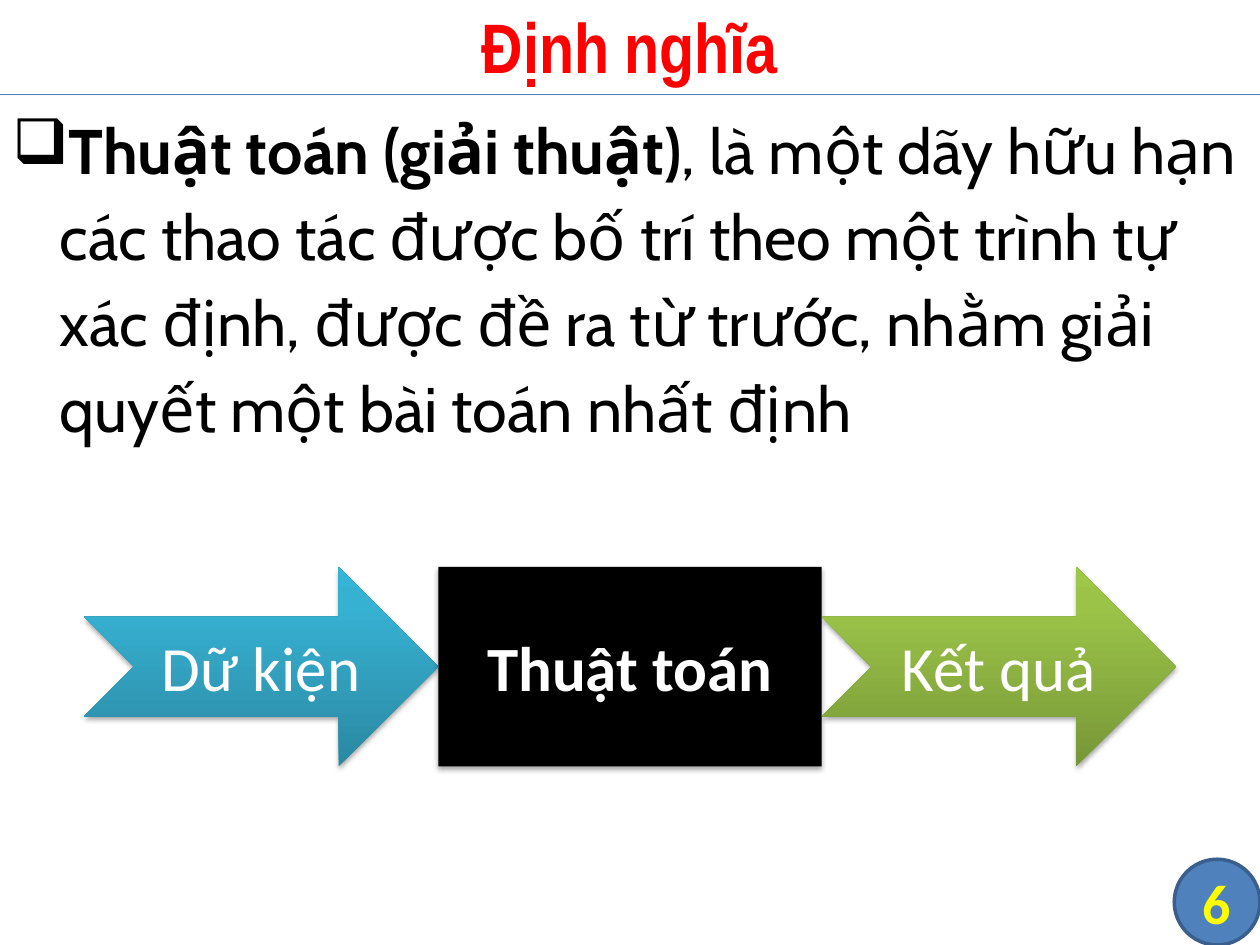
from lxml import etree
from pptx import Presentation
from pptx.dml.color import RGBColor
from pptx.enum.shapes import MSO_CONNECTOR, MSO_SHAPE
from pptx.enum.text import MSO_ANCHOR, PP_ALIGN
from pptx.oxml.ns import qn
from pptx.util import Pt

CENTER = PP_ALIGN.CENTER
MIDDLE = MSO_ANCHOR.MIDDLE
STRAIGHT = MSO_CONNECTOR.STRAIGHT
RECTANGLE = MSO_SHAPE.RECTANGLE
ARROW = MSO_SHAPE.NOTCHED_RIGHT_ARROW
CIRCLE = MSO_SHAPE.FLOWCHART_CONNECTOR

BLACK = RGBColor(0x00, 0x00, 0x00)
WHITE = RGBColor(0xFF, 0xFF, 0xFF)
RED = RGBColor(0xFF, 0x00, 0x00)
YELLOW = RGBColor(0xFF, 0xFF, 0x00)
BADGE_FILL = RGBColor(0x4F, 0x81, 0xBD)
BADGE_LINE = RGBColor(0x3A, 0x5F, 0x8C)
RULE_BLUE = RGBColor(0x4B, 0x7E, 0xBC)
TEAL = (RGBColor(0x2A, 0x88, 0xA2), RGBColor(0x37, 0xB1, 0xD2), RGBColor(0x34, 0xB4, 0xD6))
GREEN = (RGBColor(0x77, 0x97, 0x37), RGBColor(0x9B, 0xC3, 0x48), RGBColor(0x9D, 0xC7, 0x46))
GRADIENT_POSITIONS = (0, 80000, 100000)

SLIDE_WIDTH, SLIDE_HEIGHT = 720, 540
HEADER_HEIGHT = 54


def points(*lengths):
    return [Pt(length) for length in lengths]


def format_run(run, name, size, color, bold=False):
    run.font.name = name
    run.font.size = Pt(size)
    run.font.bold = bold
    run.font.color.rgb = color


def set_centered_text(shape, text, name, size, color, bold=False):
    frame = shape.text_frame
    frame.text = text
    frame.word_wrap = True
    frame.vertical_anchor = MIDDLE
    paragraph = frame.paragraphs[0]
    paragraph.alignment = CENTER
    format_run(paragraph.runs[0], name, size, color, bold)


def add_color(parent, color):
    return etree.SubElement(parent, qn("a:srgbClr"), val=str(color))


def fill_gradient(shape, colors):
    shape.fill.gradient()
    shape.fill.gradient_angle = 90
    stops = shape._element.spPr.find(".//" + qn("a:gsLst"))
    for stop in list(stops):
        stops.remove(stop)
    for position, color in zip(GRADIENT_POSITIONS, colors):
        add_color(etree.SubElement(stops, qn("a:gs"), pos=str(position)), color)


def add_soft_shadow(shape):
    shape.shadow.inherit = False
    effects = shape._element.spPr.find(qn("a:effectLst"))
    shadow = etree.SubElement(effects, qn("a:outerShdw"), blurRad=str(Pt(3.1)),
                              dist=str(Pt(1.8)), dir="5400000", rotWithShape="0")
    etree.SubElement(add_color(shadow, BLACK), qn("a:alpha"), val="35000")


def add_header(slide, left, top, width, height):
    title = slide.shapes.title
    title.left, title.top, title.width, title.height = points(left, top - 2, width, height + 2)
    set_centered_text(title, "Định nghĩa", "Arial Narrow", 40, RED, True)
    bottom = top + height
    rule = slide.shapes.add_connector(STRAIGHT, *points(left, bottom, left + width, bottom))
    rule.line.color.rgb = RULE_BLUE
    rule.line.width = Pt(0.75)
    etree.SubElement(rule._element.spPr, qn("a:effectLst"))


def add_definition(slide, left, top, width, height):
    frame = slide.shapes.add_textbox(*points(left, top, width, height)).text_frame
    frame.word_wrap = True
    paragraph = frame.paragraphs[0]
    paragraph.line_spacing = 1.14
    paragraph.space_before = paragraph.space_after = Pt(6)
    properties = paragraph._p.get_or_add_pPr()
    properties.set("marL", str(Pt(27)))
    properties.set("indent", str(Pt(-27)))
    etree.SubElement(properties, qn("a:buChar"), char="❑")
    parts = (
        ("Thuật toán (giải thuật)", True),
        (", là một dãy hữu hạn các thao tác được bố trí theo một trình tự xác định, "
         "được đề ra từ trước, nhằm giải quyết một bài toán nhất định", False),
    )
    for text, bold in parts:
        run = paragraph.add_run()
        run.text = text
        format_run(run, "Cabin", 36, BLACK, bold)


def add_process(slide, left, top, width, height):
    block_width = 219
    arrow_width = (width - block_width) / 2
    steps = (
        ("Dữ kiện", ARROW, arrow_width, TEAL),
        ("Thuật toán", RECTANGLE, block_width, None),
        ("Kết quả", ARROW, arrow_width, GREEN),
    )
    for text, kind, step_width, gradient in steps:
        shape = slide.shapes.add_shape(kind, *points(left, top, step_width, height))
        if gradient:
            fill_gradient(shape, gradient)
        else:
            shape.fill.solid()
            shape.fill.fore_color.rgb = BLACK
        shape.line.fill.background()
        add_soft_shadow(shape)
        set_centered_text(shape, text, "Calibri", 36, WHITE, gradient is None)
        left += step_width


def add_page_badge(slide, left, top, size):
    badge = slide.shapes.add_shape(CIRCLE, *points(left, top, size, size))
    badge.shadow.inherit = False
    badge.fill.solid()
    badge.fill.fore_color.rgb = BADGE_FILL
    badge.line.color.rgb = BADGE_LINE
    badge.line.width = Pt(2)
    frame = badge.text_frame
    frame.margin_left = frame.margin_right = frame.margin_top = frame.margin_bottom = 0
    set_centered_text(badge, "6", "Calibri", 32, YELLOW, True)


def main():
    presentation = Presentation()
    presentation.slide_width, presentation.slide_height = points(SLIDE_WIDTH, SLIDE_HEIGHT)
    slide = presentation.slides.add_slide(presentation.slide_layouts[5])
    badge_size = 49
    add_page_badge(slide, SLIDE_WIDTH - badge_size, SLIDE_HEIGHT - badge_size, badge_size)
    add_header(slide, 0, 0, SLIDE_WIDTH, HEADER_HEIGHT)
    add_definition(slide, 0, HEADER_HEIGHT, SLIDE_WIDTH, SLIDE_HEIGHT - HEADER_HEIGHT)
    add_process(slide, 48, 324, SLIDE_WIDTH - 2 * 48, 114)
    presentation.save("out.pptx")


if __name__ == "__main__":
    main()
